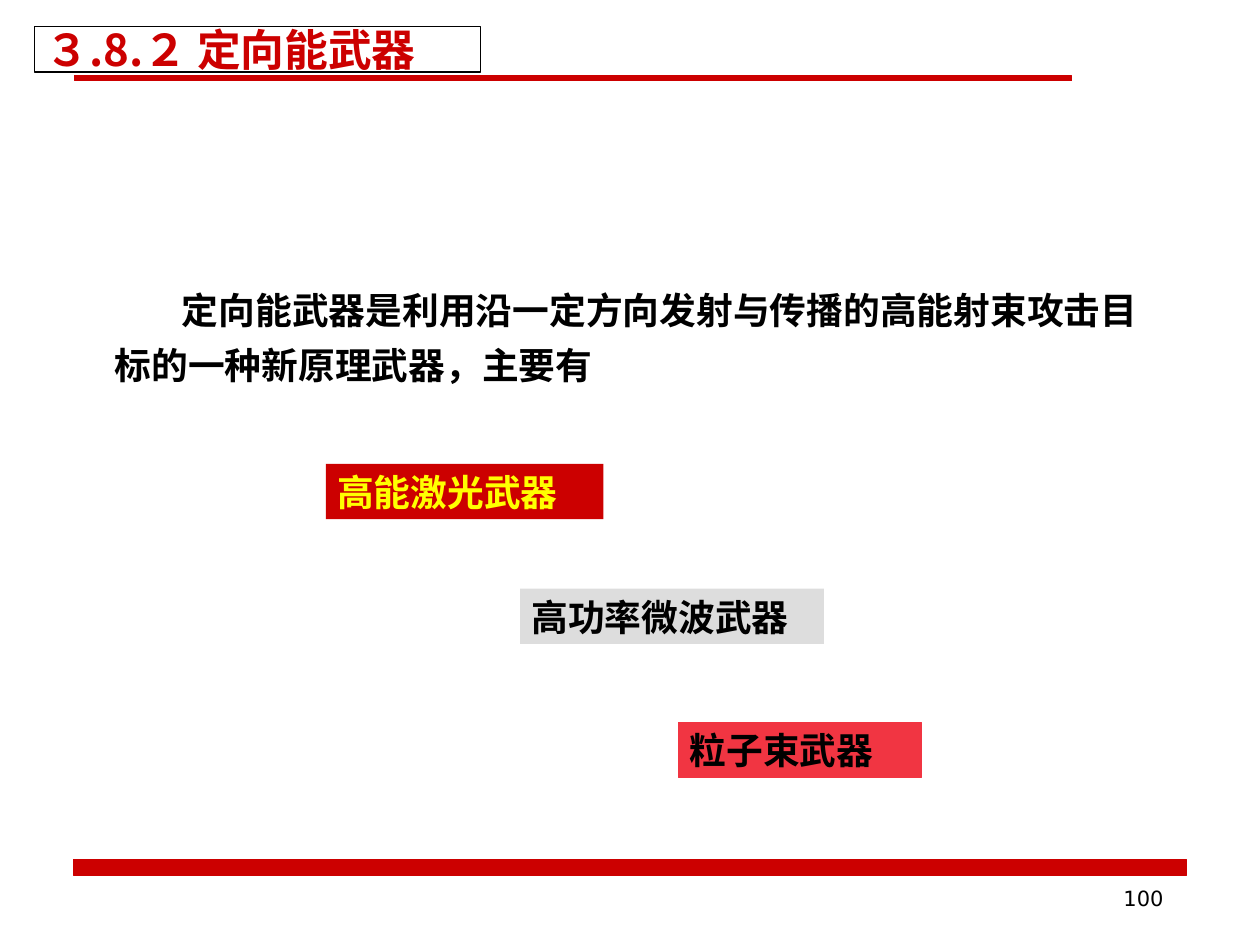
"""Build the slide on directed-energy weapons."""
import pptx
import pptx.dml.color
import pptx.enum.shapes
import pptx.enum.text
import pptx.oxml
import pptx.oxml.ns
import pptx.util

Pt = pptx.util.Pt
ANCHOR = pptx.enum.text.MSO_ANCHOR
ALIGN = pptx.enum.text.PP_ALIGN
AUTO = pptx.enum.text.MSO_AUTO_SIZE
RED, BLACK, WHITE, YELLOW = "CC0000", "000000", "FFFFFF", "FFFF00"
GREY, CORAL = "DDDDDD", "F13542"


def rgb(value):
    return pptx.dml.color.RGBColor.from_string(value)


def write(sp, text, size=21, font="Times New Roman", color=BLACK, bold=True,
          align=ALIGN.LEFT, anchor=ANCHOR.TOP, spacing=None, indent=0,
          inset=(6.5, 3.2), fit=AUTO.NONE):
    tf = sp.text_frame
    tf.word_wrap = True
    tf.auto_size = fit
    tf.vertical_anchor = anchor
    tf.margin_left = tf.margin_right = Pt(inset[0])
    tf.margin_top = tf.margin_bottom = Pt(inset[1])
    p = tf.paragraphs[0]
    p.alignment = align
    p.line_spacing = spacing
    if indent:
        p._p.get_or_add_pPr().set("indent", str(Pt(indent)))
    r = p.add_run()
    r.text = text
    r.font.size = Pt(size)
    r.font.bold = bold
    r.font.name = font
    r.font.color.rgb = rgb(color)
    ea = pptx.oxml.parse_xml(
        f'<a:ea {pptx.oxml.ns.nsdecls("a")} typeface="Noto Sans CJK SC"/>')
    r._r.get_or_add_rPr().append(ea)


class Deck:
    def __init__(self, width, height):
        self.prs = pptx.Presentation()
        self.prs.slide_width, self.prs.slide_height = Pt(width), Pt(height)
        self.s = self.prs.slides.add_slide(self.prs.slide_layouts[6])
        self.s.background.fill.solid()
        self.s.background.fill.fore_color.rgb = rgb(WHITE)

    def box(self, x, y, w, h, fill, line=None, weight=0.75):
        sp = self.s.shapes.add_shape(
            pptx.enum.shapes.MSO_SHAPE.RECTANGLE, Pt(x), Pt(y), Pt(w), Pt(h))
        sp.shadow.inherit = False
        sp.fill.solid()
        sp.fill.fore_color.rgb = rgb(fill)
        if line:
            sp.line.color.rgb = rgb(line)
            sp.line.width = Pt(weight)
        else:
            sp.line.fill.background()
        return sp

    def text(self, x, y, w, h, text, **style):
        sp = self.s.shapes.add_textbox(Pt(x), Pt(y), Pt(w), Pt(h))
        write(sp, text, **style)

    def line(self, x1, y1, x2, y2, color, weight):
        sp = self.s.shapes.add_connector(
            pptx.enum.shapes.MSO_CONNECTOR.STRAIGHT, Pt(x1), Pt(y1), Pt(x2), Pt(y2))
        sp.line.color.rgb = rgb(color)
        sp.line.width = Pt(weight)
        sp._element.spPr.append(
            pptx.oxml.parse_xml(f'<a:effectLst {pptx.oxml.ns.nsdecls("a")}/>'))


def main():
    deck = Deck(720, 540)
    deck.box(42.1, 491, 635.9, 9.2, RED, RED)
    deck.line(48, 496.8, 672, 496.8, RED, 0.25)
    deck.box(42.7, 43.4, 569.8, 2.9, RED, RED, 0.5)
    deck.text(516, 502.6, 156, 37.4, "100", size=12, font="DejaVu Sans",
              bold=False, align=ALIGN.RIGHT, inset=(7.2, 3.6))

    title = deck.box(19.6, 15, 255, 26.2, WHITE, BLACK)
    write(title, "３.8.２ 定向能武器", size=25, font="Noto Sans CJK SC",
          color=RED, anchor=ANCHOR.MIDDLE)
    deck.text(59, 152.6, 601.2, 74.2,
              "定向能武器是利用沿一定方向发射与传播的高能射束攻击目标的一种新原理武器，主要有",
              font="DejaVu Sans", anchor=ANCHOR.MIDDLE, spacing=1.25, indent=38.4)

    weapons = [
        ("高能激光武器", 186.2, 265, 158.6, RED, None, YELLOW),
        ("高功率微波武器", 297.2, 336.4, 173.6, GREY, None, BLACK),
        ("粒子束武器", 387.6, 412.8, 139, CORAL, CORAL, BLACK),
    ]
    for name, x, y, w, fill, line, color in weapons:
        write(deck.box(x, y, w, 31.6, fill, line), name, color=color,
              fit=AUTO.SHAPE_TO_FIT_TEXT)

    deck.prs.save("out.pptx")


if __name__ == "__main__":
    main()
